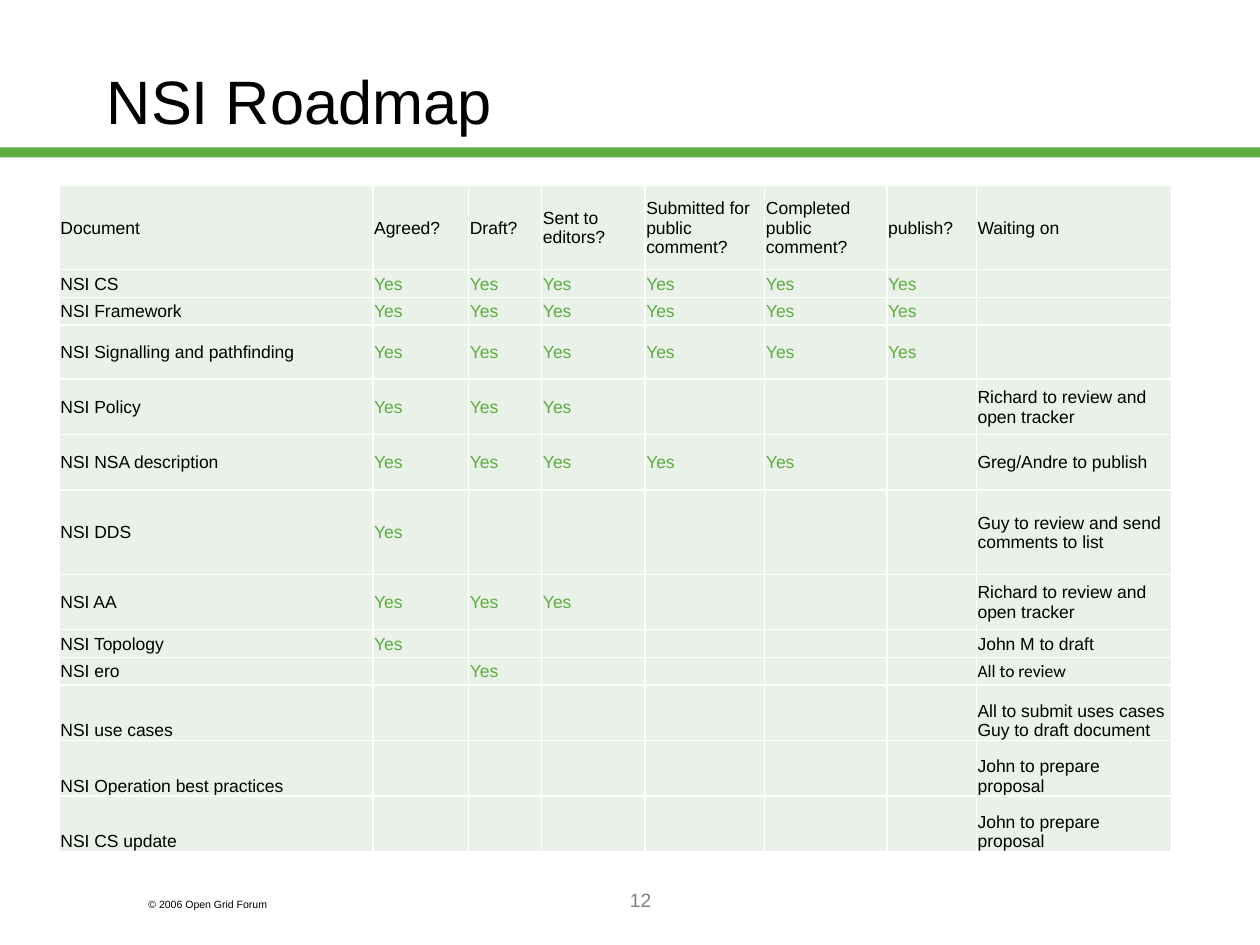
from lxml.etree import SubElement
from pptx import Presentation
from pptx.dml.color import RGBColor
from pptx.enum.shapes import MSO_SHAPE
from pptx.enum.text import MSO_ANCHOR, PP_ALIGN
from pptx.oxml.ns import qn
from pptx.util import Inches, Pt

BLACK = RGBColor(0x00, 0x00, 0x00)
GREEN = RGBColor(0x5D, 0xAD, 0x41)
GRAY = RGBColor(0x80, 0x80, 0x80)
WHITE = RGBColor(0xFF, 0xFF, 0xFF)
PALE_GREEN = RGBColor(0xEA, 0xF1, 0xE9)

TABLE_SIZE = 10
COLUMN_WIDTHS = [2.49, 0.76, 0.58, 0.82, 0.95, 0.97, 0.71, 1.55]
HEADERS = [
    "Document", "Agreed?", "Draft?", "Sent to editors?",
    "Submitted for public comment?", "Completed public comment?",
    "publish?", "Waiting on",
]
STAGE_COUNT = len(HEADERS) - 2
HEADER_HEIGHT = 0.67
DOCUMENTS = [
    ("NSI CS", range(6), "", 0.22),
    ("NSI Framework", range(6), "", 0.22),
    ("NSI Signalling and pathfinding", range(6), "", 0.43),
    ("NSI Policy", range(3), "Richard to review and open tracker", 0.44),
    ("NSI NSA description", range(5), "Greg/Andre to publish", 0.44),
    ("NSI DDS", range(1), "Guy to review and send comments to list", 0.67),
    ("NSI AA", range(3), "Richard to review and open tracker", 0.44),
    ("NSI Topology", range(1), "John M to draft", 0.22),
    ("NSI ero", [1], "All to review", 0.22),
    ("NSI use cases", [], "All to submit uses cases Guy to draft document", 0.44),
    ("NSI Operation best practices", [], "John to prepare proposal", 0.44),
    ("NSI CS update", [], "John to prepare proposal", 0.44),
]
BOTTOM_ALIGNED = {"NSI use cases", "NSI Operation best practices", "NSI CS update"}
CALIBRI_TEXTS = {"All to review"}


def format_runs(paragraph, size, color, font_name="Arial"):
    for run in paragraph.runs:
        run.font.size = Pt(size)
        run.font.name = font_name
        run.font.color.rgb = color


def add_text(slide, text, left, top, width, height, size, color=BLACK,
             anchor=MSO_ANCHOR.TOP, alignment=PP_ALIGN.LEFT):
    box = slide.shapes.add_textbox(Inches(left), Inches(top), Inches(width), Inches(height))
    text_frame = box.text_frame
    text_frame.word_wrap = True
    text_frame.vertical_anchor = anchor
    text_frame.text = text
    paragraph = text_frame.paragraphs[0]
    paragraph.alignment = alignment
    format_runs(paragraph, size, color)


def add_rule(slide):
    rule = slide.shapes.add_shape(
        MSO_SHAPE.RECTANGLE, Inches(0), Inches(1.17), Inches(10), Inches(0.08))
    rule.shadow.inherit = False
    rule.fill.solid()
    rule.fill.fore_color.rgb = GREEN
    rule.line.fill.background()


def set_borders(cell):
    properties = cell._tc.get_or_add_tcPr()
    for position, side in enumerate(("a:lnL", "a:lnR", "a:lnT", "a:lnB")):
        border = properties.makeelement(qn(side), {"w": str(Pt(1))})
        fill = SubElement(border, qn("a:solidFill"))
        SubElement(fill, qn("a:srgbClr"), val=str(WHITE))
        properties.insert(position, border)


def fill_cell(cell, text, anchor):
    cell.margin_left = cell.margin_right = cell.margin_top = Inches(0.01)
    cell.margin_bottom = 0
    cell.vertical_anchor = anchor
    cell.fill.solid()
    cell.fill.fore_color.rgb = PALE_GREEN
    set_borders(cell)
    paragraph = cell.text_frame.paragraphs[0]
    if text:
        paragraph.text = text
        font_name = "Calibri" if text in CALIBRI_TEXTS else "Arial"
        format_runs(paragraph, TABLE_SIZE, GREEN if text == "Yes" else BLACK, font_name)
    else:
        SubElement(paragraph._p, qn("a:endParaRPr"), sz=str(TABLE_SIZE * 100))


def add_roadmap(slide):
    rows = [HEADERS]
    heights = [HEADER_HEIGHT]
    for name, stages, waiting_on, height in DOCUMENTS:
        marks = ["Yes" if stage in stages else "" for stage in range(STAGE_COUNT)]
        rows.append([name, *marks, waiting_on])
        heights.append(height)

    table = slide.shapes.add_table(
        len(rows), len(HEADERS), Inches(0.47), Inches(1.47),
        Inches(sum(COLUMN_WIDTHS)), Inches(sum(heights))).table
    table.first_row = False
    table.horz_banding = False
    for column, width in zip(table.columns, COLUMN_WIDTHS):
        column.width = Inches(width)
    for row, height, texts in zip(table.rows, heights, rows):
        row.height = Inches(height)
        anchor = MSO_ANCHOR.BOTTOM if texts[0] in BOTTOM_ALIGNED else MSO_ANCHOR.MIDDLE
        for cell, text in zip(row.cells, texts):
            fill_cell(cell, text, anchor)


def main():
    presentation = Presentation()
    presentation.slide_width = Inches(10)
    presentation.slide_height = Inches(7.5)
    slide = presentation.slides.add_slide(presentation.slide_layouts[6])
    add_rule(slide)
    add_text(slide, "© 2006 Open Grid Forum", 1.08, 7.08, 1.5, 0.2, 6)
    add_text(slide, "NSI Roadmap", 0.75, 0.17, 8.5, 1.25, 35, anchor=MSO_ANCHOR.MIDDLE)
    add_text(slide, "12", 2.17, 7, 5.83, 0.5, 11, GRAY, alignment=PP_ALIGN.CENTER)
    add_roadmap(slide)
    presentation.save("out.pptx")


if __name__ == "__main__":
    main()
